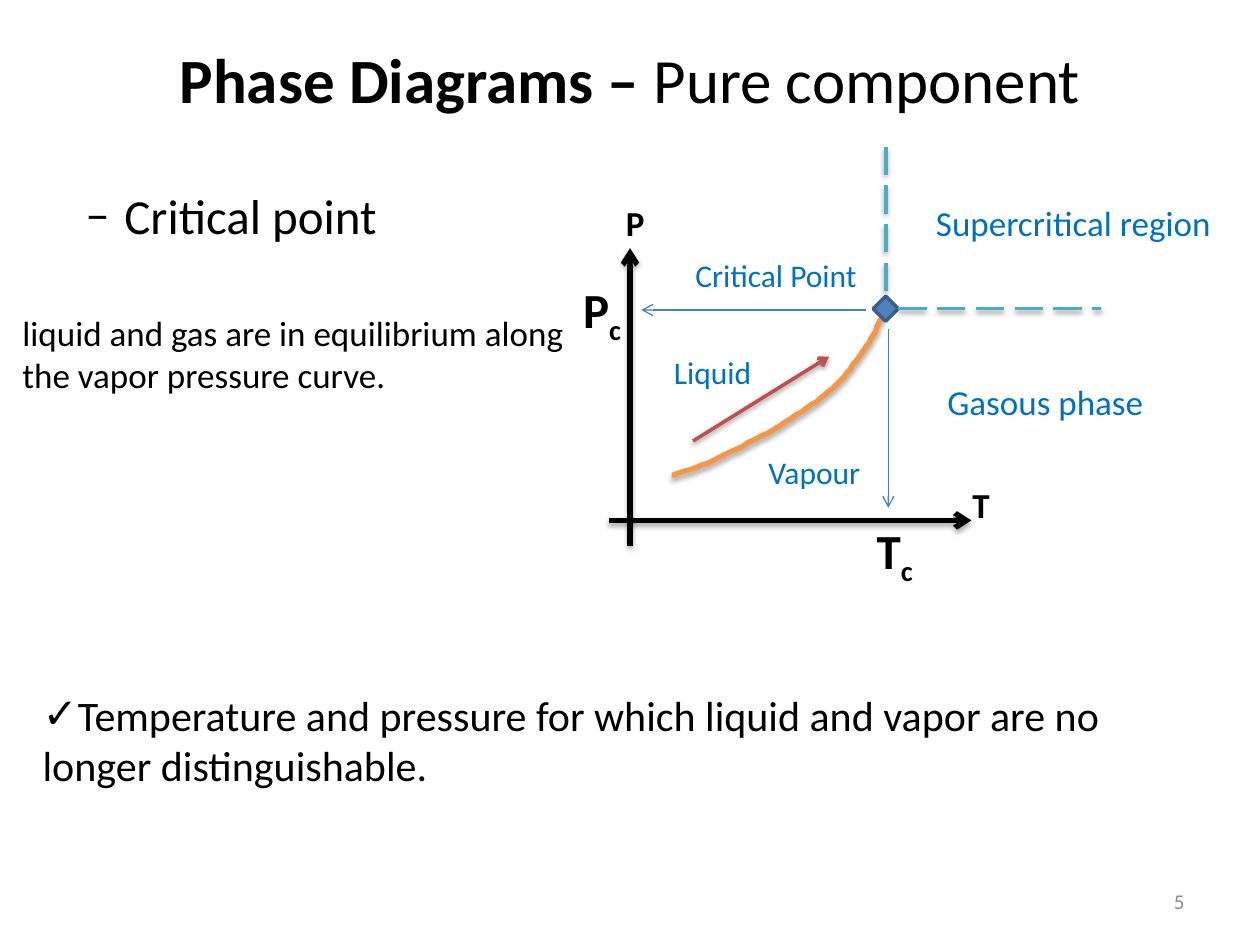
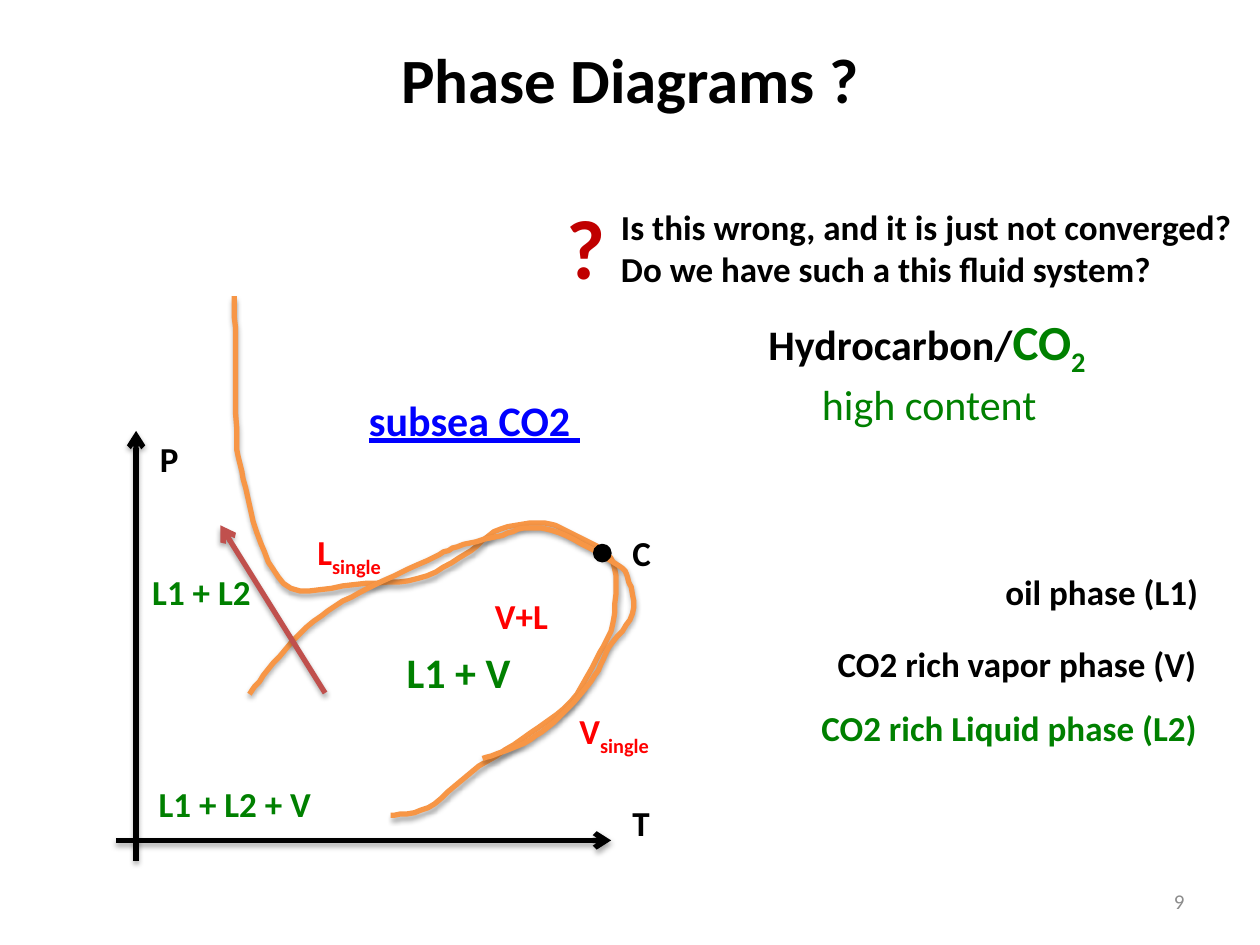
from dataclasses import dataclass
from typing import NamedTuple

from lxml import etree
from pptx import Presentation
from pptx.dml.color import RGBColor
from pptx.enum.dml import MSO_LINE
from pptx.enum.shapes import MSO_CONNECTOR, MSO_SHAPE
from pptx.enum.text import MSO_ANCHOR, PP_ALIGN
from pptx.oxml.ns import qn
from pptx.util import Pt

PX = 9144  # 100 px to the inch
FONT = "Calibri"
LEFT, CENTER, RIGHT = PP_ALIGN.LEFT, PP_ALIGN.CENTER, PP_ALIGN.RIGHT
TOP, MIDDLE = MSO_ANCHOR.TOP, MSO_ANCHOR.MIDDLE
STRAIGHT = MSO_CONNECTOR.STRAIGHT
DIAMOND, OVAL = MSO_SHAPE.DIAMOND, MSO_SHAPE.OVAL
LONG_DASH = MSO_LINE.LONG_DASH

COLORS = {
    "black": "000000", "label": "0070C0", "number": "8C8C8C",
    "curve": "F79646", "path": "C0504D", "region": "4BACC6",
    "guide": "4B7EBC", "marker": "4F81BD", "marker_edge": "3A5F8C",
    "red": "FF0000", "dark_red": "C00000", "green": "008000", "blue": "0000FF",
}

Point = tuple[int, int]
Box = tuple[int, int, int, int]


class Run(NamedTuple):
    text: str
    size: int = 20
    color: str = "black"
    bold: bool = False
    sub: bool = False
    underline: bool = False


class Bullet(NamedTuple):
    char: str
    margin: int = 0
    indent: int = 0


class Shadow(NamedTuple):
    alpha: int
    blur: float
    dist: float


@dataclass
class Para:
    runs: list[Run]
    align: PP_ALIGN = LEFT
    bullet: Bullet | None = None


@dataclass
class Label:
    """One line of text, with an optional subscript after it."""
    text: str
    x: int
    y: int
    width: int
    size: int = 20
    color: str = "black"
    bold: bool = True
    sub: str = ""
    underline: bool = False
    wrap: bool = False


@dataclass
class Line:
    start: Point
    end: Point
    color: str
    width: float
    shadow: Shadow | None = None
    arrow: bool = True
    dash: MSO_LINE | None = None


HEAVY = Shadow(35, 3.1, 1.8)
LIGHT = Shadow(38, 3.1, 1.6)


# Formatting
def rgb(name: str) -> RGBColor:
    return RGBColor.from_string(COLORS[name])


def set_attributes(target, fmt: dict) -> None:
    for key, value in fmt.items():
        setattr(target, key, value)


def set_line(shape, color: str, width: float) -> None:
    shape.line.color.rgb = rgb(color)
    shape.line.width = Pt(width)


def set_shadow(shape, shadow: Shadow | None) -> None:
    """Add the effect list last; an empty one means no shadow."""
    effects = etree.SubElement(shape._element.spPr, qn("a:effectLst"))
    if shadow:
        outer = etree.SubElement(
            effects, qn("a:outerShdw"), blurRad=str(Pt(shadow.blur)),
            dist=str(Pt(shadow.dist)), dir="5400000", rotWithShape="0")
        color = etree.SubElement(outer, qn("a:srgbClr"), val=COLORS["black"])
        etree.SubElement(color, qn("a:alpha"), val=str(shadow.alpha * 1000))


# Text
def add_run(p, run: Run) -> None:
    r = p.add_run()
    r.text = run.text
    set_attributes(r.font, {"name": FONT, "size": Pt(run.size),
                            "bold": run.bold, "underline": run.underline})
    r.font.color.rgb = rgb(run.color)
    if run.sub:
        r._r.get_or_add_rPr().set("baseline", "-25000")


def add_bullet(p, bullet: Bullet) -> None:
    pPr = p._p.get_or_add_pPr()
    pPr.set("marL", str(bullet.margin * PX))
    pPr.set("indent", str(bullet.indent * PX))
    etree.SubElement(pPr, qn("a:buFont"), typeface=FONT)
    etree.SubElement(pPr, qn("a:buChar"), char=bullet.char)


def add_text(s, box: Box, paras: list[Para], anchor: MSO_ANCHOR = TOP,
             wrap: bool = True) -> None:
    tf = s.shapes.add_textbox(*(v * PX for v in box)).text_frame
    set_attributes(tf, {"word_wrap": wrap, "vertical_anchor": anchor})
    for i, para in enumerate(paras):
        p = tf.add_paragraph() if i else tf.paragraphs[0]
        p.alignment = para.align
        if para.bullet:
            add_bullet(p, para.bullet)
        for run in para.runs:
            add_run(p, run)


def add_label(s, label: Label) -> None:
    line_height = label.size * 1.22 * 100 / 72
    box = (label.x, label.y, label.width, round(line_height + 10))
    runs = [Run(label.text, label.size, label.color, label.bold,
                underline=label.underline)]
    if label.sub:
        runs.append(Run(label.sub, label.size, label.color, label.bold, sub=True))
    add_text(s, box, [Para(runs)], wrap=label.wrap)


# Diagram parts
def add_line(s, line: Line) -> None:
    c = s.shapes.add_connector(STRAIGHT, *(v * PX for v in line.start + line.end))
    set_line(c, line.color, line.width)
    if line.dash:
        c.line.dash_style = line.dash
    if line.arrow:
        ln = c._element.spPr.find(qn("a:ln"))
        etree.SubElement(ln, qn("a:tailEnd"), type="arrow")
    set_shadow(c, line.shadow)


def add_axes(s, tail: Point, origin: Point, tip: Point,
             p_at: Point, t_at: Point) -> None:
    """Pressure and temperature axes that cross at the origin."""
    (x0, y0), (x1, y1) = tail, tip
    add_line(s, Line((origin[0], y0), (origin[0], y1), "black", 3, HEAVY))
    add_line(s, Line((x0, origin[1]), (x1, origin[1]), "black", 3, HEAVY))
    for name, at in (("P", p_at), ("T", t_at)):
        add_label(s, Label(name, *at, 33, wrap=True))


def spline(a: int, b: int, c: int, d: int, t: float) -> float:
    """Catmull-Rom value between b and c, for t from 0 to 1."""
    return b + t / 2 * (c - a + t * (2 * a - 5 * b + 4 * c - d
                                     + t * (3 * (b - c) + d - a)))


def smooth_path(knots: list[Point], steps: int = 6) -> list[tuple[float, float]]:
    """Points of a smooth curve that passes through every knot."""
    padded = [knots[0], *knots, knots[-1]]
    points = []
    for quad in zip(padded, padded[1:], padded[2:], padded[3:]):
        xs, ys = zip(*quad)
        points += [(spline(*xs, i / steps), spline(*ys, i / steps))
                   for i in range(steps)]
    return points + [knots[-1]]


def add_curve(s, knots: list[Point]) -> None:
    start, *rest = smooth_path(knots)
    builder = s.shapes.build_freeform(*start, scale=PX)
    builder.add_line_segments(rest, close=False)
    sp = builder.convert_to_shape()
    sp.fill.background()
    set_line(sp, "curve", 3)
    set_shadow(sp, HEAVY)


def add_marker(s, kind: MSO_SHAPE, center: Point, size: int,
               fill: str, edge: str) -> None:
    x, y = (v - size // 2 for v in center)
    sp = s.shapes.add_shape(kind, *(v * PX for v in (x, y, size, size)))
    sp.fill.solid()
    sp.fill.fore_color.rgb = rgb(fill)
    set_line(sp, edge, 2)
    set_shadow(sp, None)


def new_slide(prs, title: list[Run], number: int):
    """Blank slide with the shared title and slide number."""
    s = prs.slides.add_slide(prs.slide_layouts[6])
    add_text(s, (50, 0, 900, 125), [Para(title, CENTER)], MIDDLE)
    add_text(s, (717, 695, 233, 40),
             [Para([Run(str(number), 12, "number")], RIGHT)], MIDDLE)
    return s


# Slides
def pure_component(prs) -> None:
    s = new_slide(prs, [Run("Phase Diagrams – ", 36, bold=True),
                        Run("Pure component", 36)], 5)
    add_axes(s, tail=(483, 433), origin=(500, 413), tip=(771, 197),
             p_at=(487, 155), t_at=(762, 379))
    vapor_pressure = [(702, 247), (693, 266), (682, 283), (667, 302), (651, 316),
                      (628, 332), (599, 349), (573, 362), (550, 372), (533, 377)]
    add_curve(s, vapor_pressure)
    add_marker(s, DIAMOND, (703, 245), 20, "marker", "marker_edge")

    to_tc = Line((705, 261), (705, 403), "guide", 0.75)
    to_pc = Line((687, 246), (509, 246), "guide", 0.75)
    gas_limit = Line((713, 245), (874, 245), "region", 2, LIGHT, False, LONG_DASH)
    liquid_limit = Line((703, 231), (703, 117), "region", 2, LIGHT, False, LONG_DASH)
    along_curve = Line((550, 350), (658, 283), "path", 2, LIGHT)
    for line in (to_tc, to_pc, gas_limit, liquid_limit, along_curve):
        add_line(s, line)

    for symbol, x, y, width in (("P", 453, 217, 58), ("T", 686, 408, 50)):
        add_label(s, Label(symbol, x, y, width, 28, sub="c", wrap=True))
    regions = [
        ("Liquid", 525, 275, 92, 18),
        ("Vapour", 600, 355, 117, 18),
        ("Critical Point", 542, 198, 158, 18),
        ("Supercritical region", 733, 155, 242, 20),
        ("Gasous phase", 742, 297, 208, 20),
    ]
    for region in regions:
        add_label(s, Label(*region, "label", False, wrap=True))

    statements = [
        ((8, 142, 400, 117), 28, Bullet("–", 81, -31), "Critical point"),
        ((8, 242, 450, 77), 20, None,
         "liquid and gas are in equilibrium along the vapor pressure curve."),
        ((24, 542, 950, 91), 24, Bullet("✓"),
         "Temperature and pressure for which liquid and vapor are no "
         "longer distinguishable."),
    ]
    for box, size, bullet, words in statements:
        add_text(s, box, [Para([Run(words, size)], bullet=bullet)])


def high_co2(prs) -> None:
    s = new_slide(prs, [Run("Phase Diagrams ?", 36, bold=True)], 9)
    add_axes(s, tail=(92, 683), origin=(108, 667), tip=(485, 342),
             p_at=(117, 342), t_at=(492, 631))
    # Both envelopes pass the critical point; one turns up to high pressure
    open_envelope = [
        (310, 647), (340, 641), (374, 613), (415, 586), (453, 557), (476, 518),
        (487, 492), (488, 452), (479, 437), (457, 425), (432, 415), (397, 420),
        (369, 440), (332, 459), (281, 464), (231, 467), (207, 431), (193, 380),
        (188, 350), (187, 278), (186, 235)]
    closed_envelope = [
        (198, 551), (217, 526), (249, 493), (286, 470), (339, 445), (363, 434),
        (394, 426), (420, 419), (449, 425), (488, 447), (498, 458), (502, 487),
        (483, 514), (469, 541), (440, 573), (411, 592), (383, 602)]
    for envelope in (open_envelope, closed_envelope):
        add_curve(s, envelope)
    add_marker(s, OVAL, (478, 439), 12, "black", "black")
    add_line(s, Line((258, 550), (175, 417), "path", 3, HEAVY))

    labels = [
        Label("C", 492, 417, 42, wrap=True),
        Label("V+L", 383, 467, 67, color="red", wrap=True),
        Label("L", 242, 416, 150, color="red", sub="single", wrap=True),
        Label("V", 450, 558, 183, color="red", sub="single", wrap=True),
        Label("L1 + V", 313, 508, 103, 24, "green"),
        Label("L1 + L2 + V", 116, 616, 142, color="green"),
        Label("L1 + L2", 111, 448, 99, color="green"),
        Label("oil phase (L1)", 788, 448, 175),
        Label("CO2 rich vapor phase (V)", 655, 505, 307),
        Label("CO2 rich Liquid phase (L2)", 642, 556, 321, color="green"),
        Label("subsea CO2 ", 283, 308, 189, 24, "blue", underline=True),
        Label("?", 440, 150, 51, 48, "dark_red"),
    ]
    for label in labels:
        add_label(s, label)

    fluid = [Run("Hydrocarbon/", 24, bold=True), Run("CO", 28, "green", True),
             Run("2", 28, "green", True, sub=True)]
    add_text(s, (600, 242, 275, 98), [
        Para(fluid), Para([Run("high content", 24, "green")], CENTER)])
    questions = ("Is this wrong, and it is just not converged?",
                 "Do we have such a this fluid system?")
    add_text(s, (483, 158, 509, 77),
             [Para([Run(q, bold=True)]) for q in questions], wrap=False)


def main() -> None:
    prs = Presentation()
    prs.slide_width, prs.slide_height = 1000 * PX, 750 * PX
    pure_component(prs)
    high_co2(prs)
    prs.save("out.pptx")


if __name__ == "__main__":
    main()
